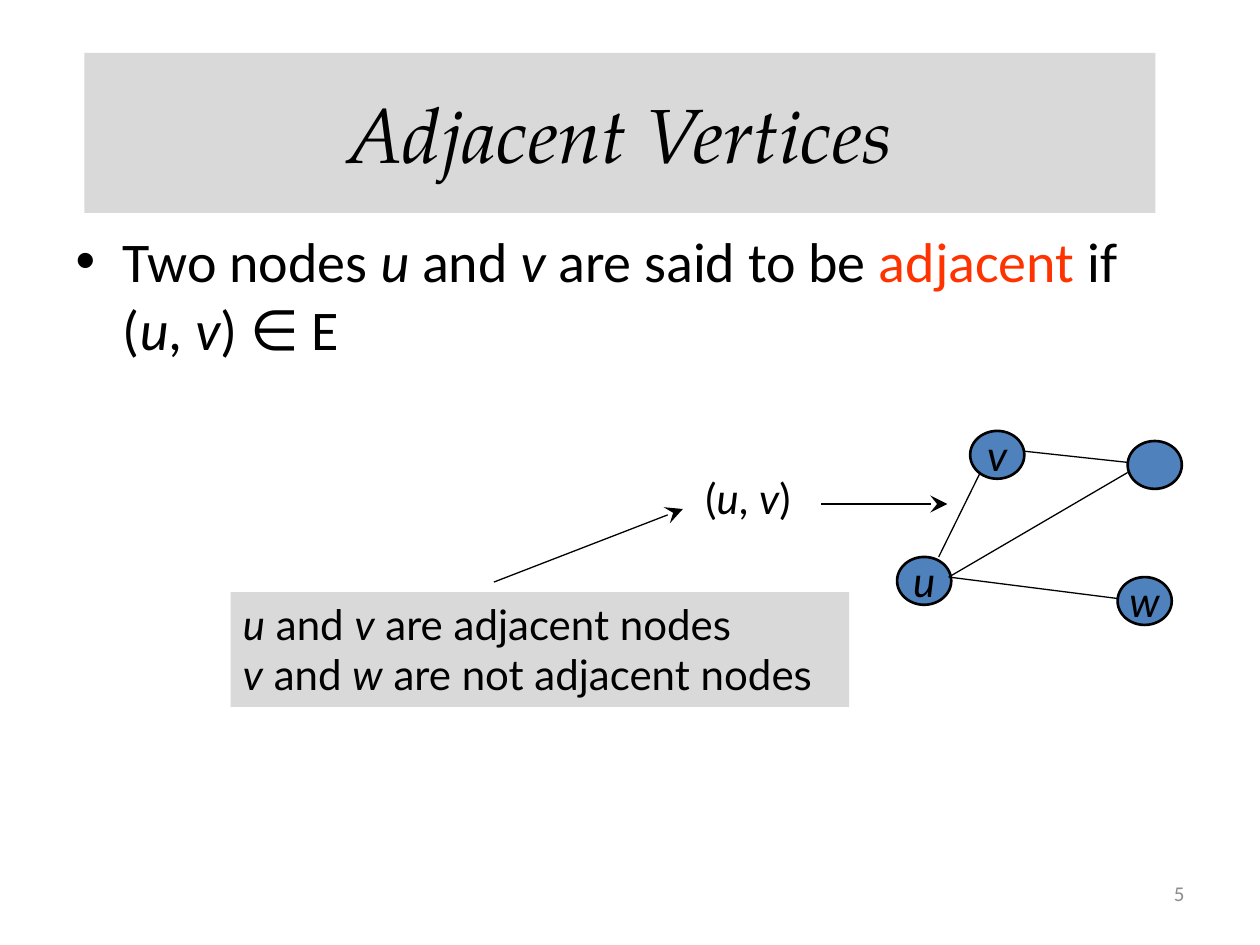
"""Build a slide that explains adjacent vertices with a small graph."""
from typing import NamedTuple

from lxml.etree import SubElement as Sub
from pptx import Presentation as Deck
from pptx.dml.color import RGBColor as Rgb
from pptx.enum.shapes import MSO_CONNECTOR as Conn, MSO_SHAPE as Form
from pptx.enum.text import MSO_ANCHOR as Anchor, MSO_AUTO_SIZE as Auto, PP_ALIGN as Align
from pptx.oxml.ns import qn
from pptx.util import Inches, Pt

INK = {"black": "000000", "gray": "D9D9D9", "blue": "4F81BD", "red": "FF3300", "dim": "8C8C8C"}
LABEL = {"name": "Lato", "size": Pt(24)}
BODY = {"name": "Calibri", "size": Pt(32)}


class Node(NamedTuple):
    name: str
    left: float
    top: float


class Edge(NamedTuple):
    start: tuple
    end: tuple
    arrow: bool = False


NODES = [Node("v", 7.7, 3.42), Node("", 8.95, 3.5), Node("w", 8.87, 4.58), Node("u", 7.12, 4.42)]
EDGES = [
    Edge((8.95, 3.67), (8.12, 3.58)),
    Edge((8.87, 4.75), (7.53, 4.58)),
    Edge((8.95, 3.75), (7.53, 4.58)),
    Edge((7.78, 3.75), (7.45, 4.42)),
    Edge((6.52, 4), (7.52, 4), True),
    Edge((3.92, 4.62), (5.42, 4.04), True),
]


def tint(hue: str) -> Rgb:
    """Return the named colour."""
    return Rgb.from_string(INK[hue])


def paint(shape, hue: str) -> None:
    """Fill a shape with one colour."""
    shape.fill.solid()
    shape.fill.fore_color.rgb = tint(hue)


def place(shape, *box: float) -> None:
    """Move and size a shape, in inches."""
    for key, size in zip(("left", "top", "width", "height"), box):
        setattr(shape, key, Inches(size))


def write(para, text: str, style: dict, hue: str = "black") -> None:
    """Add runs: *x* is italic and _x_ is red."""
    for i, part in enumerate(text.split("*")):
        for j, bit in enumerate(part.split("_")):
            if bit:
                run = para.add_run()
                run.text = bit
                for key, value in {**style, "italic": i % 2 == 1}.items():
                    setattr(run.font, key, value)
                run.font.color.rgb = tint("red" if j % 2 else hue)


def add_node(slide, node: Node) -> None:
    """Draw a graph node with its name."""
    shape = slide.shapes.add_shape(Form.OVAL, 0, 0, 0, 0)
    place(shape, node.left, node.top, 0.43, 0.38)
    shape.shadow.inherit = False
    paint(shape, "blue")
    shape.line.color.rgb = tint("black")
    shape.line.width = Pt(1.5)
    frame = shape.text_frame
    frame.word_wrap = False
    frame.vertical_anchor = Anchor.MIDDLE
    if node.name:
        frame.paragraphs[0].alignment = Align.CENTER
        write(frame.paragraphs[0], f"*{node.name}*", LABEL)


def add_edge(slide, edge: Edge) -> None:
    """Draw a thin line, with an arrowhead if asked."""
    ends = [Inches(n) for n in edge.start + edge.end]
    link = slide.shapes.add_connector(Conn.STRAIGHT, *ends)
    link.line.color.rgb = tint("black")
    link.line.width = Pt(0.75)
    if edge.arrow:
        Sub(link.line._get_or_add_ln(), qn("a:tailEnd"), type="stealth", w="lg", len="lg")
    Sub(link._element.spPr, qn("a:effectLst"))


def add_note(slide, box: tuple, lines: list, style: dict, hue: str = "black"):
    """Add a text box with one paragraph for each line."""
    note = slide.shapes.add_textbox(0, 0, 0, 0)
    place(note, *box)
    frame = note.text_frame
    frame.word_wrap = False
    for i, line in enumerate(lines):
        para = frame.add_paragraph() if i else frame.paragraphs[0]
        write(para, line, style, hue)
    return note


def main() -> None:
    """Build and save the slide."""
    deck = Deck()
    deck.slide_width, deck.slide_height = Inches(10), Inches(7.5)
    slide = deck.slides.add_slide(deck.slide_layouts[1])

    title, body = slide.placeholders
    place(title, 0.67, 0.42, 8.5, 1.27)
    paint(title, "gray")
    write(title.text_frame.paragraphs[0], "*Adjacent Vertices*",
          {"name": "TeX Gyre Pagella", "size": Pt(44)})
    place(body, 0.5, 1.75, 9, 4.95)
    para = body.text_frame.paragraphs[0]
    para.space_before = Pt(0)
    write(para, "Two nodes *u* and *v* are said to be _adjacent_ if (*u*, *v*) ∈ E", BODY)

    for node in NODES:
        add_node(slide, node)
    for edge in EDGES:
        add_edge(slide, edge)

    pair = add_note(slide, (5.5, 3.7, 1.02, 0.5), ["(*u*, *v*)"], LABEL)
    facts = add_note(slide, (1.83, 4.7, 4.91, 0.91),
                     ["*u* and *v* are adjacent nodes", "*v* and *w* are not adjacent nodes"], LABEL)
    paint(facts, "gray")
    for note in (pair, facts):
        note.text_frame.auto_size = Auto.SHAPE_TO_FIT_TEXT

    page = add_note(slide, (7.17, 6.83, 2.33, 0.52), ["5"], {"name": "Calibri", "size": Pt(12)}, "dim")
    page.text_frame.word_wrap = True
    page.text_frame.vertical_anchor = Anchor.MIDDLE
    page.text_frame.paragraphs[0].alignment = Align.RIGHT
    deck.save("out.pptx")


if __name__ == "__main__":
    main()
